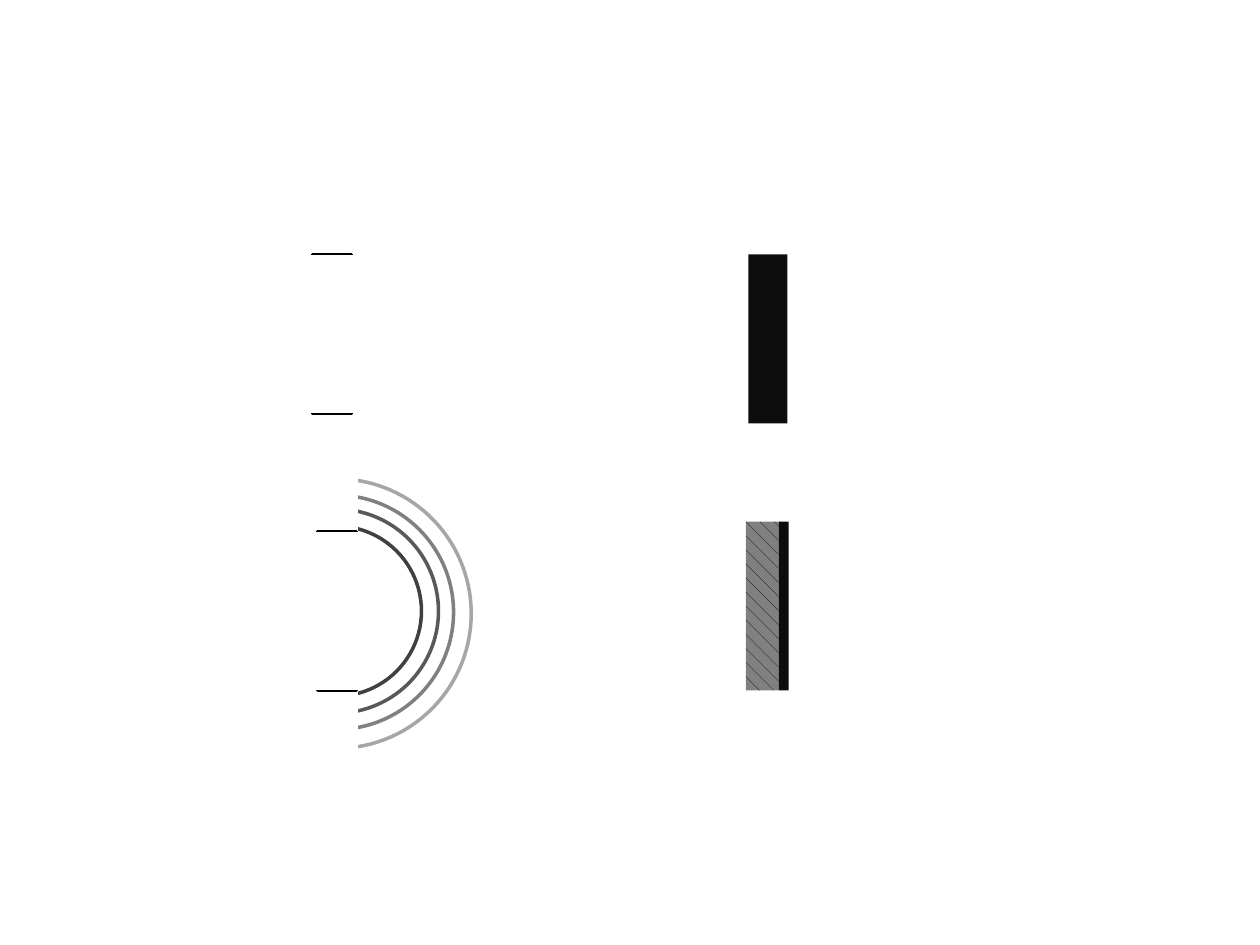
import pptx
import pptx.util
from pptx.dml.color import RGBColor
from pptx.enum.dml import MSO_PATTERN
from pptx.enum.shapes import MSO_SHAPE

WHITE = RGBColor(0xFF, 0xFF, 0xFF)
BLACK = RGBColor(0x00, 0x00, 0x00)
NEAR_BLACK = RGBColor(0x0D, 0x0D, 0x0D)
GRAY = RGBColor(0x80, 0x80, 0x80)

# Wave fronts: diameter, centre height, line colour, fill
RING_CENTER_X = 2.67
RINGS = [
    (1.35, 4.85, RGBColor(0x40, 0x40, 0x40), WHITE),
    (1.62, 4.85, RGBColor(0x59, 0x59, 0x59), None),
    (1.86, 4.86, GRAY, None),
    (2.14, 4.87, RGBColor(0xA6, 0xA6, 0xA6), None),
]
RING_COVER = (0.98, 3.73, 1.85, 2.39)

# Walls: left, top, width, and whether the wall is hatched
WALL_HEIGHT = 1.34
WALLS = [
    (5.94, 2.02, 0.31, False),
    (5.92, 4.14, 0.26, True),
    (6.18, 4.14, 0.08, False),
]

# Openings: left and top of the framed rectangle
OPENING_WIDTH, OPENING_HEIGHT = 0.31, 1.26
UPPER_OPENING = (2.48, 2.02)
LOWER_OPENING = (2.52, 4.22)
COVER_SIDE, COVER_INSET = 0.04, 0.02


def add_figure(shapes, preset, place, fill=None, line=None):
    figure = shapes.add_shape(preset, *map(pptx.util.Inches, place))
    figure.shadow.inherit = False
    if fill is None:
        figure.fill.background()
    else:
        figure.fill.solid()
        figure.fill.fore_color.rgb = fill
    if line is None:
        figure.line.fill.background()
    else:
        figure.line.color.rgb = line
        figure.line.width = pptx.util.Pt(2)
    return figure


def add_ring(shapes, diameter, center_y, line, fill):
    place = (RING_CENTER_X - diameter / 2, center_y - diameter / 2, diameter, diameter)
    add_figure(shapes, MSO_SHAPE.OVAL, place, fill, line)


def add_wall(shapes, left, top, width, hatched):
    place = (left, top, width, WALL_HEIGHT)
    wall = add_figure(shapes, MSO_SHAPE.RECTANGLE, place, NEAR_BLACK)
    if hatched:
        wall.fill.patterned()
        wall.fill.pattern = MSO_PATTERN.SHINGLE
        wall.fill.fore_color.rgb = BLACK
        wall.fill.back_color.rgb = GRAY


def add_opening(shapes, left, top):
    """Frame a rectangle and cover its sides, so only the two ends show."""
    group = shapes.add_group_shape()
    frame = (left, top, OPENING_WIDTH, OPENING_HEIGHT)
    cover = (left - COVER_SIDE, top + COVER_INSET,
             OPENING_WIDTH + 2 * COVER_SIDE, OPENING_HEIGHT - 2 * COVER_INSET)
    add_figure(group.shapes, MSO_SHAPE.RECTANGLE, frame, WHITE, BLACK)
    add_figure(group.shapes, MSO_SHAPE.RECTANGLE, cover, WHITE, WHITE)


def main():
    deck = pptx.Presentation()
    deck.slide_width = pptx.util.Inches(10)
    deck.slide_height = pptx.util.Inches(7.5)
    shapes = deck.slides.add_slide(deck.slide_layouts[6]).shapes

    inner_ring, *outer_rings = RINGS
    add_ring(shapes, *inner_ring)
    for wall in WALLS:
        add_wall(shapes, *wall)
    add_opening(shapes, *UPPER_OPENING)
    for ring in outer_rings:
        add_ring(shapes, *ring)
    add_figure(shapes, MSO_SHAPE.RECTANGLE, RING_COVER, WHITE, WHITE)
    add_opening(shapes, *LOWER_OPENING)

    deck.save("out.pptx")


if __name__ == "__main__":
    main()
